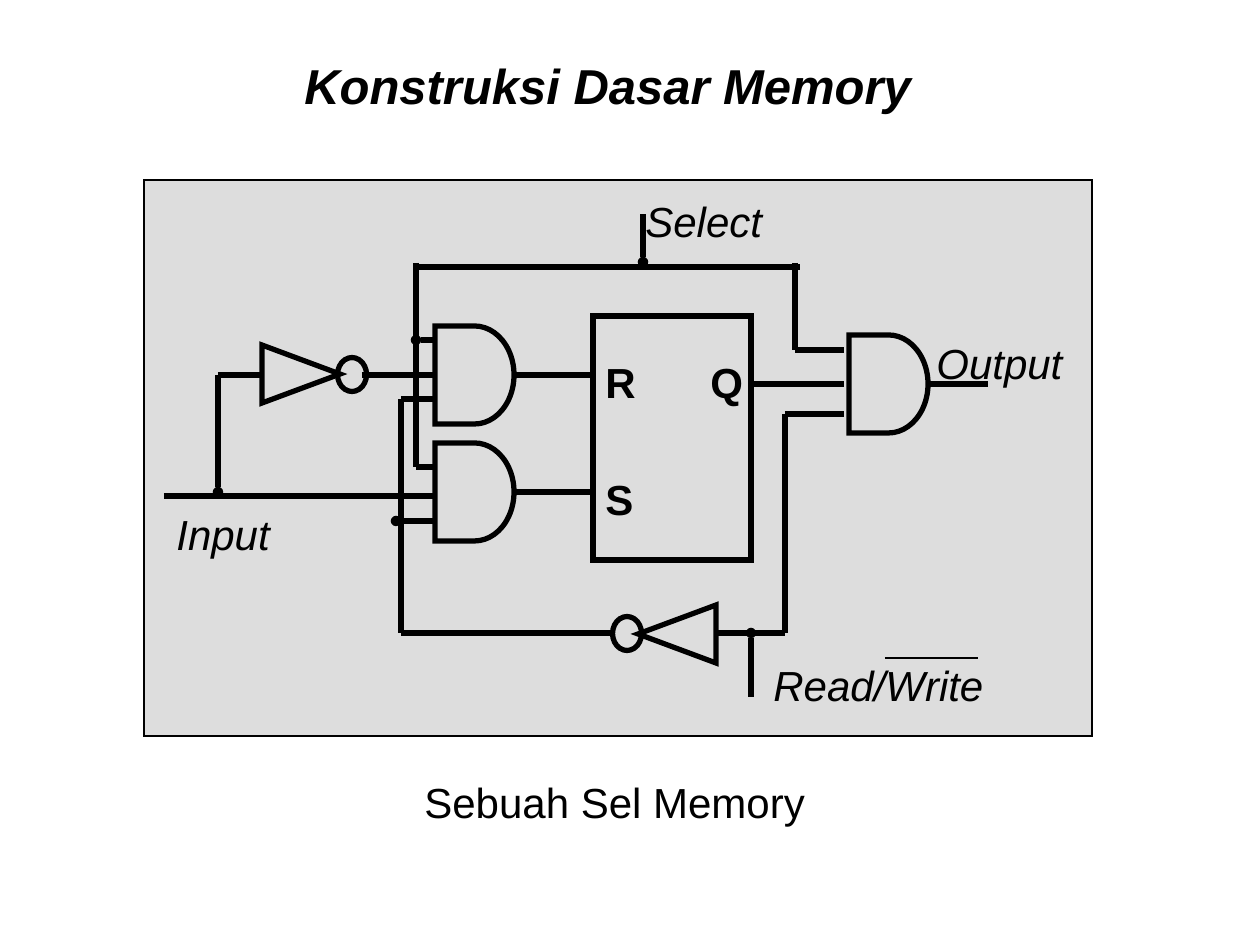
from lxml import etree
from pptx import Presentation
from pptx.dml.color import RGBColor
from pptx.enum.shapes import MSO_CONNECTOR, MSO_SHAPE
from pptx.enum.text import MSO_AUTO_SIZE
from pptx.oxml.ns import qn
from pptx.util import Emu, Pt

RECT = MSO_SHAPE.RECTANGLE
AND_GATE = MSO_SHAPE.FLOWCHART_DELAY
TRIANGLE = MSO_SHAPE.FLOWCHART_MERGE
OVAL = MSO_SHAPE.OVAL
STRAIGHT = MSO_CONNECTOR.STRAIGHT
FIT_SHAPE = MSO_AUTO_SIZE.SHAPE_TO_FIT_TEXT

COLORS = {"ink": "000000", "panel": "DDDDDD"}
FONT = "Arial"
PX_PER_INCH = 126
WIRE = 3


def px(n):
    return Emu(round(n * 914400 / PX_PER_INCH))


def color(name):
    return RGBColor.from_string(COLORS[name])


def add_outline(s, kind, x, y, w, h, weight=WIRE, fill=None, rotation=0):
    sp = s.shapes.add_shape(kind, px(x), px(y), px(w), px(h))
    sp.shadow.inherit = False
    sp.rotation = rotation
    if fill:
        sp.fill.solid()
        sp.fill.fore_color.rgb = color(fill)
    else:
        sp.fill.background()
    sp.line.color.rgb = color("ink")
    sp.line.width = Pt(weight)
    etree.SubElement(sp.line._get_or_add_ln(), qn("a:miter"), lim="800000")


def add_wire(s, x1, y1, x2, y2, weight=WIRE, dot=False):
    line = s.shapes.add_connector(STRAIGHT, px(x1), px(y1), px(x2), px(y2))
    line.line.color.rgb = color("ink")
    line.line.width = Pt(weight)
    if dot:
        etree.SubElement(line.line._get_or_add_ln(), qn("a:headEnd"),
                         type="oval", w="sm", len="sm")
    etree.SubElement(line._element.spPr, qn("a:effectLst"))


def add_path(s, *points):
    for start, end in zip(points, points[1:]):
        add_wire(s, *start, *end)


def add_label(s, text, x, y, w, h=63, size=24, bold=False, italic=False, wrap=False):
    tf = s.shapes.add_textbox(px(x), px(y), px(w), px(h)).text_frame
    tf.word_wrap = wrap
    tf.auto_size = FIT_SHAPE
    p = tf.paragraphs[0]
    p.text = text
    p.font.name = FONT
    p.font.size = Pt(size)
    p.font.bold = bold
    p.font.italic = italic
    p.font.color.rgb = color("ink")


def add_parts(s):
    add_outline(s, RECT, 144, 180, 948, 556, weight=0.75, fill="panel")
    add_outline(s, RECT, 593, 316, 158, 244)
    for x, y in [(435, 326), (435, 443), (849, 335)]:
        add_outline(s, AND_GATE, x, y, 79, 98)
    for x, y, rotation in [(648, 595, 90), (272, 335, 270)]:
        add_outline(s, TRIANGLE, x, y, 58, 78, rotation=rotation)
    for x, y, rotation in [(610, 619, 90), (335, 360, 270)]:
        add_outline(s, OVAL, x, y, 34, 29, rotation=rotation)


def add_wires(s):
    for y in (375, 492):
        add_path(s, (514, y), (593, y))
    add_path(s, (362, 375), (435, 375))
    add_path(s, (164, 496), (435, 496))
    add_path(s, (218, 375), (262, 375))
    add_path(s, (612, 633), (401, 633), (401, 399), (435, 399))
    add_path(s, (416, 263), (416, 467), (435, 467))
    add_path(s, (416, 267), (800, 267))
    add_path(s, (751, 384), (844, 384))
    add_path(s, (795, 263), (795, 350), (844, 350))
    add_path(s, (717, 633), (785, 633), (785, 414), (844, 414))
    add_path(s, (929, 384), (988, 384))
    for ends in [(218, 492, 218, 375), (396, 521, 435, 521), (416, 340, 435, 340),
                 (751, 633, 751, 697), (643, 262, 643, 214)]:
        add_wire(s, *ends, dot=True)
    add_wire(s, 885, 658, 978, 658, weight=1)


def add_labels(s):
    for text, x, y, w in [("S", 593, 467, 54), ("R", 593, 350, 56), ("Q", 698, 350, 59)]:
        add_label(s, text, x, y, w, bold=True)
    for text, x, y, w in [("Input", 164, 502, 122), ("Output", 924, 331, 154),
                          ("Select", 633, 189, 145), ("Read/Write", 761, 653, 238)]:
        add_label(s, text, x, y, w, italic=True)


def main():
    prs = Presentation()
    prs.slide_width, prs.slide_height = px(1260), px(945)
    s = prs.slides.add_slide(prs.slide_layouts[6])
    add_label(s, "Konstruksi Dasar Memory", 292, 49, 684, 72, size=28,
              bold=True, italic=True, wrap=True)
    add_parts(s)
    add_wires(s)
    add_labels(s)
    add_label(s, "Sebuah Sel Memory", 412, 770, 408)
    prs.save("out.pptx")


if __name__ == "__main__":
    main()
